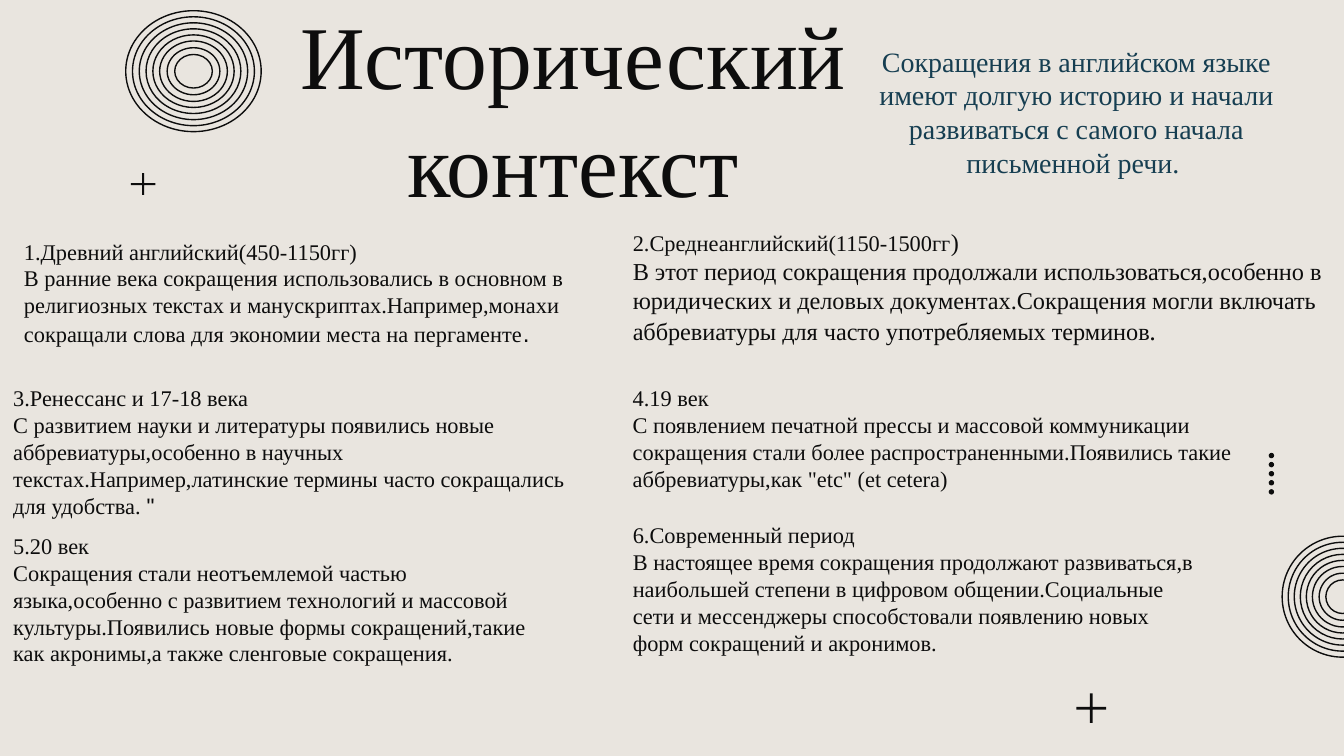
from dataclasses import dataclass

from pptx import Presentation
from pptx import util as u
from pptx.dml.color import RGBColor
from pptx.enum import shapes, text

INK = RGBColor(0x0D, 0x0D, 0x0D)
TEAL = RGBColor(0x16, 0x3E, 0x51)
PAPER = RGBColor(0xE9, 0xE5, 0xDF)
SERIF, SANS = "Times New Roman", "Arial"
RING_SIZES = (0.9, 0.81, 0.72, 0.63, 0.54, 0.45, 0.35, 0.25)


@dataclass
class Span:
    words: str
    size: float = 12
    font: str = SERIF
    color: RGBColor = INK


@dataclass
class TextBlock:
    left: float
    top: float
    width: float
    height: float
    paras: list[list[Span]]


def add_text(page, block: TextBlock, inset: float = 0.1, inset_y: float = 0.05,
             align=text.PP_ALIGN.LEFT, anchor=text.MSO_ANCHOR.TOP,
             fit=text.MSO_AUTO_SIZE.SHAPE_TO_FIT_TEXT) -> None:
    box = page.shapes.add_textbox(u.Inches(block.left), u.Inches(block.top),
                                  u.Inches(block.width), u.Inches(block.height))
    frame = box.text_frame
    frame.word_wrap = True
    frame.auto_size = fit
    frame.vertical_anchor = anchor
    frame.margin_left = frame.margin_right = u.Inches(inset)
    frame.margin_top = frame.margin_bottom = u.Inches(inset_y)
    for index, spans in enumerate(block.paras):
        para = frame.paragraphs[0] if index == 0 else frame.add_paragraph()
        para.alignment = align
        for span in spans:
            run = para.add_run()
            run.text = span.words
            run.font.size = u.Pt(span.size)
            run.font.name = span.font
            run.font.color.rgb = span.color


def add_mark(page, kind, left: float, top: float, width: float, height: float,
             filled: bool = True):
    mark = page.shapes.add_shape(kind, u.Inches(left), u.Inches(top),
                                 u.Inches(width), u.Inches(height))
    mark.shadow.inherit = False
    if filled:
        mark.fill.solid()
        mark.fill.fore_color.rgb = INK
        mark.line.fill.background()
    else:
        mark.fill.background()
        mark.line.color.rgb = INK
        mark.line.width = u.Pt(0.75)
    return mark


def add_rings(page, center_x: float, center_y: float, stretch: float = 1) -> None:
    for size in RING_SIZES:
        width = size * stretch
        add_mark(page, shapes.MSO_SHAPE.OVAL, center_x - width / 2,
                 center_y - size / 2, width, size, filled=False)


def add_plus(page, left: float, top: float, width: float, height: float) -> None:
    plus = add_mark(page, shapes.MSO_SHAPE.MATH_PLUS, left, top, width, height)
    plus.adjustments[0] = 0.069


PERIODS = [
    TextBlock(0.08, 1.72, 4.61, 0.93, [
        [Span("1.Древний английский(450-1150гг)")],
        [Span("В ранние века сокращения использовались в основном в религиозных "
              "текстах и манускриптах.Например,монахи сокращали слова для экономии "
              "места на пергаменте"), Span(".", 13, SANS)]]),
    TextBlock(4.61, 1.64, 5.39, 0.99, [
        [Span("2.Среднеанглийский(1150-1500гг"), Span(")", 13)],
        [Span("В этот период сокращения продолжали использоваться,особенно в "
              "юридических и деловых документах.Сокращения могли включать "
              "аббревиатуры для часто употребляемых терминов", 13), Span(".", 14)]]),
    TextBlock(0, 2.81, 4.53, 1.11, [
        [Span("3.Ренессанс и 17-18 века")],
        [Span("С развитием науки и литературы появились новые "
              "аббревиатуры,особенно в научных текстах.Например,латинские термины "
              "часто сокращались для удобства. "), Span('"', 12, SANS)]]),
    TextBlock(4.61, 2.81, 4.77, 0.91, [
        [Span("4.19 век")],
        [Span("С появлением печатной прессы и массовой коммуникации сокращения "
              "стали более распространенными.Появились такие аббревиатуры,как "
              '"etc" (et cetera)')]]),
    TextBlock(0, 3.91, 4.14, 1.31, [
        [Span("5.20 век")],
        [Span("Сокращения стали неотъемлемой частью языка,особенно с развитием "
              "технологий и массовой культуры.Появились новые формы "
              "сокращений,такие как акронимы,а также сленговые сокращения.")]]),
    TextBlock(4.61, 3.83, 4.38, 1.11, [
        [Span("6.Современный период")],
        [Span("В настоящее время сокращения продолжают развиваться,в наибольшей "
              "степени в цифровом общении.Социальные сети и мессенджеры "
              "способстовали появлению новых форм сокращений и акронимов.")]]),
]
TITLE = TextBlock(1.09, 0.39, 6.35, 1.31, [[Span("Исторический контекст", 48)]])
SUBTITLE = TextBlock(6.41, 0.23, 3.2, 0.63, [
    [Span("Сокращения в английском языке имеют долгую историю и начали "
          "развиваться с самого начала письменной речи. ", 15, SERIF, TEAL)]])


def main() -> None:
    deck = Presentation()
    deck.slide_width = u.Inches(10)
    deck.slide_height = u.Inches(10 * 9 / 16)
    page = deck.slides.add_slide(deck.slide_layouts[6])
    page.background.fill.solid()
    page.background.fill.fore_color.rgb = PAPER

    # Decoration on the right edge
    add_plus(page, 7.97, 5.12, 0.3, 0.3)
    add_rings(page, 9.99, 4.44)
    for row in range(5):
        add_mark(page, shapes.MSO_SHAPE.OVAL, 9.44, 3.37 + row * 0.27 / 4, 0.04, 0.04)

    # Heading
    heading = dict(inset_y=0.1, align=text.PP_ALIGN.CENTER,
                   fit=text.MSO_AUTO_SIZE.NONE)
    add_text(page, TITLE, anchor=text.MSO_ANCHOR.BOTTOM, **heading)
    add_text(page, SUBTITLE, **heading)

    # Decoration at top left
    add_rings(page, 1.44, 0.53, stretch=1.12)
    add_plus(page, 0.94, 1.26, 0.25, 0.22)

    # Historical periods
    for period in PERIODS:
        add_text(page, period)

    deck.save("out.pptx")


if __name__ == "__main__":
    main()
